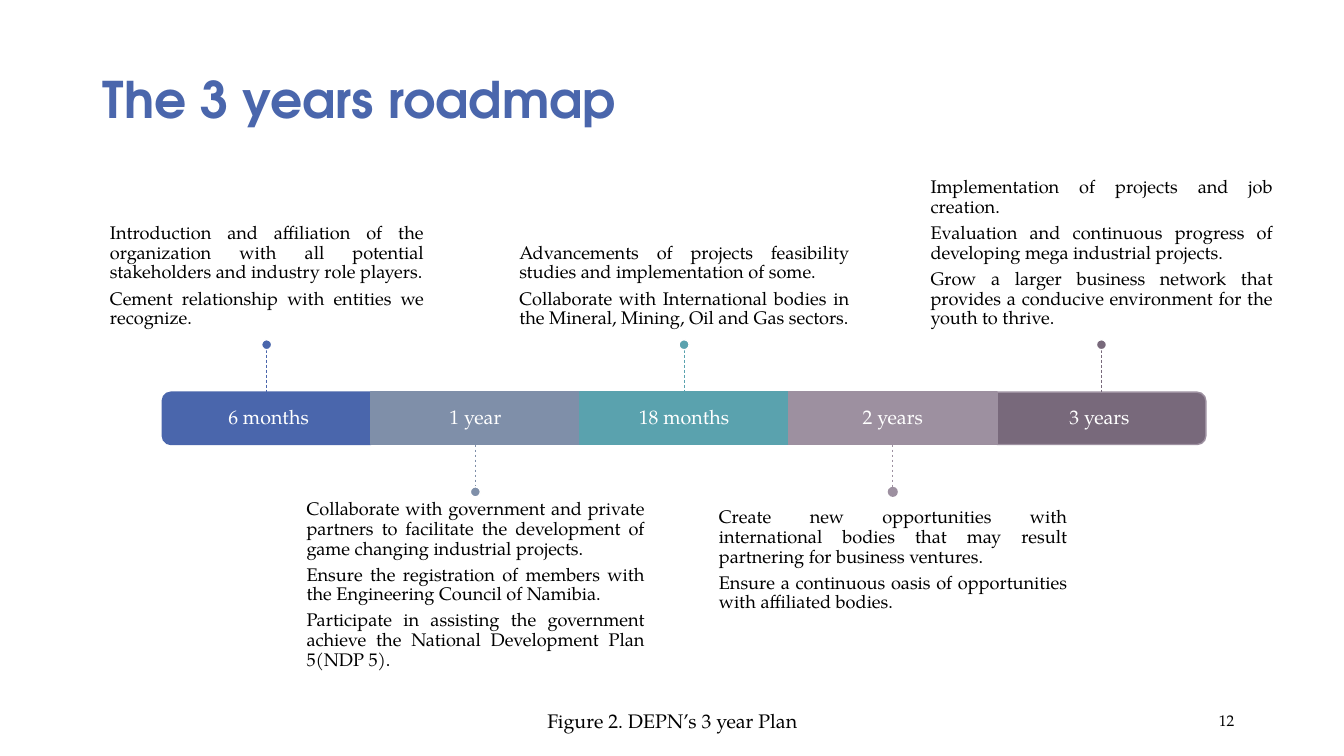
from dataclasses import dataclass
from typing import Optional

from pptx import Presentation
from pptx.dml.color import RGBColor
from pptx.enum.dml import MSO_LINE
from pptx.enum.shapes import MSO_CONNECTOR, MSO_SHAPE as Preset
from pptx.enum.text import MSO_ANCHOR as Anchor, PP_ALIGN as Align
from pptx.oxml.ns import qn
from pptx.util import Inches, Pt

BLUE = RGBColor(0x4A, 0x66, 0xAC)
SLATE = RGBColor(0x7F, 0x8F, 0xA9)
TEAL = RGBColor(0x5A, 0xA2, 0xAE)
MAUVE = RGBColor(0x9D, 0x90, 0xA0)
PLUM = RGBColor(0x78, 0x69, 0x7B)
WHITE = RGBColor(0xFF, 0xFF, 0xFF)
BLACK = RGBColor(0, 0, 0)

HEADING_FONT = "TeX Gyre Adventor"
BODY_FONT = "TeX Gyre Pagella"

BAND_LEFT, BAND_TOP = 1.61, 3.89
STEP_WIDTH, BAND_HEIGHT = 2.07, 0.52
STEM, DOT = 0.42, 0.1
NOTE_WIDTH, NOTE_HEIGHT, NOTE_GAP = 3.45, 1.82, 0.11


@dataclass(frozen=True)
class Milestone:
    label: str
    color: RGBColor
    notes: tuple[str, ...]
    note_top: float
    side_inset: float
    above: bool
    rotation: Optional[int] = None
    outline: Optional[RGBColor] = None
    dot_outline: Optional[RGBColor] = WHITE
    label_nudge: float = 0


MILESTONES = [
    Milestone("6 months", BLUE, (
        "Introduction and affiliation of the organization with all potential "
        "stakeholders and industry role players.",
        "Cement relationship with entities we recognize.",
    ), 1.55, 0.17, True, rotation=270, label_nudge=0.02),
    Milestone("1 year", SLATE, (
        "Collaborate with government and private partners to facilitate the "
        "development of game changing industrial projects.",
        "Ensure the registration of members with the Engineering Council of Namibia.",
        "Participate in assisting the government achieve the National "
        "Development Plan 5(NDP 5).",
    ), 4.85, 0.05, False),
    Milestone("18 months", TEAL, (
        "Advancements of projects feasibility studies and implementation of some.",
        "Collaborate with International bodies in the Mineral, Mining, Oil and "
        "Gas sectors.",
    ), 1.55, 0.09, True),
    Milestone("2 years", MAUVE, (
        "Create new opportunities with international bodies that may result "
        "partnering for business ventures.",
        "Ensure a continuous oasis of opportunities with affiliated bodies.",
    ), 4.93, 0, False, dot_outline=None),
    Milestone("3 years", PLUM, (
        "Implementation of projects and job creation.",
        "Evaluation and continuous progress of developing mega industrial projects.",
        "Grow a larger business network that provides a conducive environment "
        "for the youth to thrive.",
    ), 1.55, 0.03, True, rotation=90, outline=MAUVE, label_nudge=-0.02),
]


def write_text(frame, *texts: str, size: float, color: RGBColor = BLACK,
               font: str = BODY_FONT, bold: bool = False,
               align: Align = Align.LEFT, anchor: Anchor = Anchor.MIDDLE,
               line_spacing: float = 1.0, space_after: float = 0,
               insets: tuple[float, float, float, float] = (0.1, 0.05, 0.1, 0.05)) -> None:
    frame.word_wrap = True
    frame.vertical_anchor = anchor
    (frame.margin_left, frame.margin_top,
     frame.margin_right, frame.margin_bottom) = map(Inches, insets)
    for index, text in enumerate(texts):
        para = frame.add_paragraph() if index else frame.paragraphs[0]
        para.alignment = align
        para.line_spacing = line_spacing
        para.space_before = Pt(0)
        para.space_after = Pt(space_after)
        span = para.add_run()
        span.text = text
        span.font.size = Pt(size)
        span.font.name = font
        span.font.bold = bold
        span.font.color.rgb = color


def add_box(page, left: float, top: float, width: float, height: float):
    return page.shapes.add_textbox(*map(Inches, (left, top, width, height))).text_frame


def add_solid(page, preset: Preset, left: float, top: float, width: float,
              height: float, fill: RGBColor, outline: Optional[RGBColor]):
    solid = page.shapes.add_shape(preset, *map(Inches, (left, top, width, height)))
    solid.shadow.inherit = False
    solid.fill.solid()
    solid.fill.fore_color.rgb = fill
    if outline is None:
        solid.line.fill.background()
    else:
        solid.line.color.rgb = outline
        solid.line.width = Pt(1)
    return solid


def add_stem(page, center: float, top: float, color: RGBColor) -> None:
    stem = page.shapes.add_connector(
        MSO_CONNECTOR.STRAIGHT, *map(Inches, (center, top, center, top + STEM)))
    stem.line.color.rgb = color
    stem.line.width = Pt(0.5)
    stem.line.dash_style = MSO_LINE.DASH
    properties = stem._element.spPr
    properties.append(properties.makeelement(qn("a:effectLst"), {}))


def add_band(page, left: float, item: Milestone) -> None:
    outline = item.outline or item.color
    if item.rotation is None:
        add_solid(page, Preset.RECTANGLE, left, BAND_TOP, STEP_WIDTH, BAND_HEIGHT,
                  item.color, outline)
        return
    shift = (STEP_WIDTH - BAND_HEIGHT) / 2
    cap = add_solid(page, Preset.ROUND_2_SAME_RECTANGLE, left + shift, BAND_TOP - shift,
                    BAND_HEIGHT, STEP_WIDTH, item.color, outline)
    cap.rotation = item.rotation


def add_milestone(page, index: int, item: Milestone) -> None:
    left = BAND_LEFT + index * STEP_WIDTH
    center = left + STEP_WIDTH / 2
    band_bottom = BAND_TOP + BAND_HEIGHT
    add_band(page, left, item)
    write_text(add_box(page, left + item.label_nudge, BAND_TOP, STEP_WIDTH, BAND_HEIGHT),
               item.label, size=14, color=WHITE, align=Align.CENTER,
               line_spacing=0.9, insets=(0.12,) * 4)
    top_gap, bottom_gap = (0, NOTE_GAP) if item.above else (NOTE_GAP, 0)
    write_text(add_box(page, center - NOTE_WIDTH / 2, item.note_top, NOTE_WIDTH, NOTE_HEIGHT),
               *item.notes, size=13, align=Align.JUSTIFY,
               anchor=Anchor.BOTTOM if item.above else Anchor.TOP,
               line_spacing=0.9, space_after=4.55,
               insets=(item.side_inset, top_gap, item.side_inset, bottom_gap))
    stem_top = BAND_TOP - STEM if item.above else band_bottom
    dot_top = stem_top - DOT if item.above else stem_top + STEM
    add_stem(page, center, stem_top, item.color)
    add_solid(page, Preset.OVAL, center - DOT / 2, dot_top, DOT, DOT,
              item.color, item.dot_outline)


def main() -> None:
    deck = Presentation()
    deck.slide_width, deck.slide_height = Inches(13.33), Inches(7.5)
    page = deck.slides.add_slide(deck.slide_layouts.get_by_name("Title Only"))
    title = page.shapes.title
    title.left, title.top, title.width, title.height = map(Inches, (0.92, 0.15, 9.5, 1.17))
    write_text(title.text_frame, "The 3 years roadmap", size=36, color=BLUE,
               font=HEADING_FONT, bold=True, anchor=Anchor.BOTTOM, line_spacing=0.8)
    for index, item in enumerate(MILESTONES):
        add_milestone(page, index, item)
    write_text(add_box(page, 4.42, 6.95, 4.5, 0.4), "Figure 2. DEPN’s 3 year Plan",
               size=14, align=Align.CENTER)
    write_text(add_box(page, 9.34, 6.95, 3, 0.4), "12", size=11, align=Align.RIGHT)
    deck.save("out.pptx")


if __name__ == "__main__":
    main()
